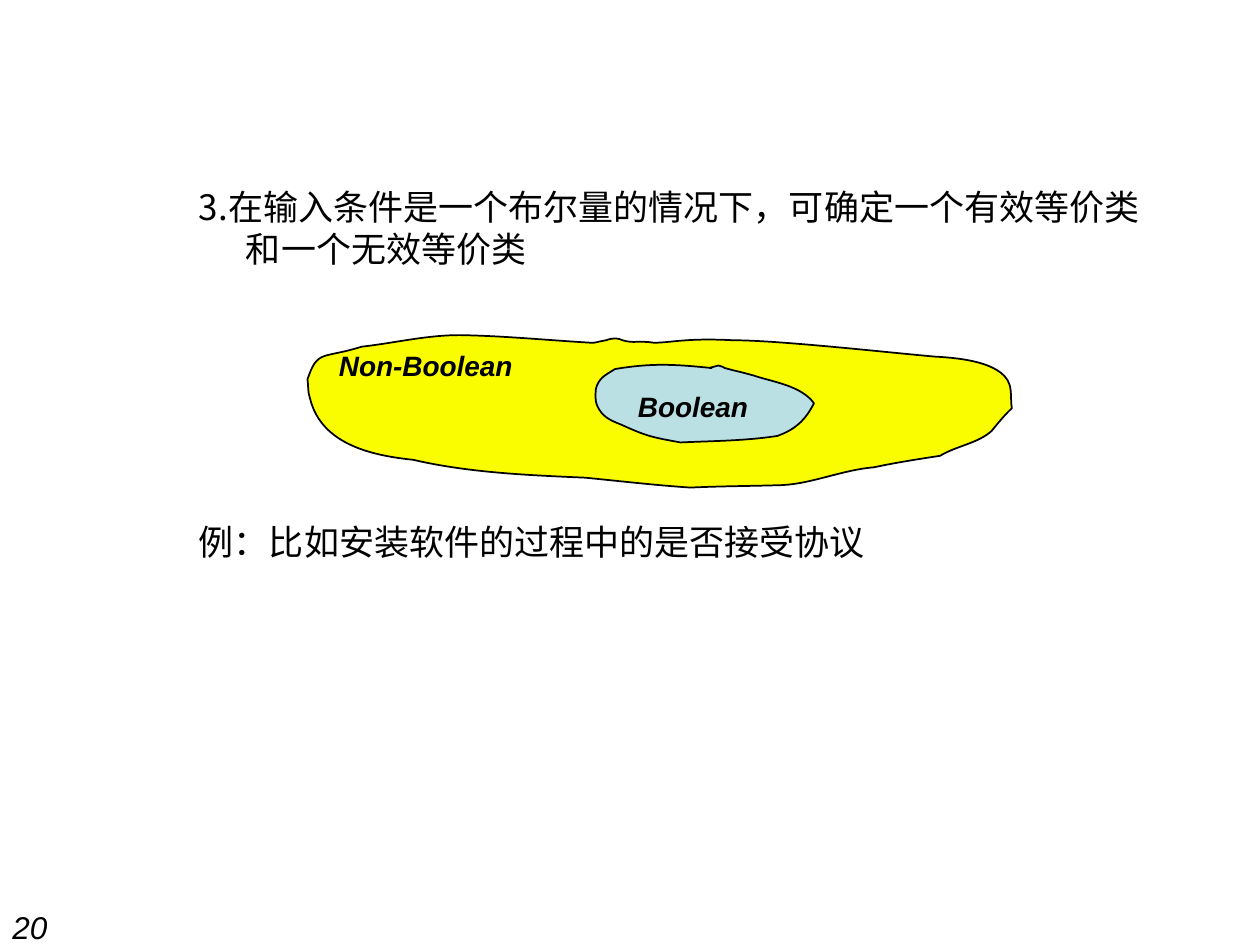
from lxml.etree import SubElement
from pptx import Presentation
from pptx.dml.color import RGBColor
from pptx.enum.text import MSO_AUTO_SIZE as AutoSize, PP_ALIGN as Align
from pptx.oxml.ns import qn
from pptx.util import Cm, Pt

BLACK = RGBColor(0x00, 0x00, 0x00)
YELLOW = RGBColor(0xFA, 0xFD, 0x00)
PALE_BLUE = RGBColor(0xBB, 0xE0, 0xE3)
LATIN = "Arial"
CHINESE = "Noto Sans CJK SC"

# Closed Bézier outlines in cm: a start point, then three points per curve
NON_BOOLEAN_OUTLINE = [
    (11.91, 6.91),
    (11.07, 6.86), (10.24, 6.78), (9.42, 6.76),
    (8.71, 6.73), (8.00, 6.91), (7.29, 6.99),
    (6.50, 7.24), (6.40, 7.04), (6.20, 7.65),
    (6.22, 7.77), (6.20, 7.90), (6.25, 8.03),
    (6.48, 8.99), (7.57, 9.19), (8.33, 9.27),
    (9.45, 9.53), (10.64, 9.58), (11.79, 9.63),
    (12.50, 9.70), (13.18, 9.78), (13.92, 9.83),
    (14.53, 9.80), (15.14, 9.80), (15.77, 9.78),
    (16.38, 9.75), (16.99, 9.47), (17.63, 9.42),
    (18.06, 9.32), (18.95, 9.19), (18.95, 9.19),
    (19.28, 8.99), (19.71, 8.94), (19.99, 8.69),
    (20.12, 8.53), (20.24, 8.38), (20.40, 8.23),
    (20.37, 8.08), (20.40, 7.90), (20.35, 7.75),
    (20.19, 7.26), (19.18, 7.21), (18.85, 7.19),
    (17.93, 7.11), (15.70, 6.86), (14.78, 6.86),
    (13.82, 6.81), (13.54, 6.91), (13.18, 6.91),
    (12.85, 6.86), (12.78, 6.93), (12.55, 6.86),
    (12.40, 6.78), (12.22, 6.86), (12.22, 6.86),
    (11.94, 6.91), (12.04, 6.91), (11.91, 6.91),
]
BOOLEAN_OUTLINE = [
    (14.35, 7.42),
    (13.56, 7.34), (13.13, 7.32), (12.40, 7.44),
    (12.19, 7.57), (12.07, 7.62), (12.01, 7.85),
    (12.01, 7.95), (11.99, 8.08), (12.04, 8.18),
    (12.14, 8.41), (12.32, 8.48), (12.52, 8.56),
    (13.03, 8.79), (13.11, 8.81), (13.72, 8.92),
    (14.35, 8.89), (15.01, 8.89), (15.67, 8.79),
    (16.03, 8.66), (16.23, 8.48), (16.41, 8.13),
    (16.15, 7.77), (15.57, 7.70), (15.19, 7.57),
    (14.71, 7.44), (15.06, 7.54), (14.61, 7.42),
    (14.58, 7.39), (14.48, 7.37), (14.48, 7.37),
    (14.30, 7.42), (14.25, 7.42), (14.35, 7.42),
]


class SlideBuilder:
    """Holds the text style and the slide being filled."""

    def __init__(self, slide, color=BLACK):
        self.slide = slide
        self.color = color

    def text(self, left, top, width, height, words, size, font=LATIN,
             bold=False, italic=False):
        box = self.slide.shapes.add_textbox(Cm(left), Cm(top), Cm(width), Cm(height))
        box.text_frame.word_wrap = True
        box.text_frame.text = words
        para = box.text_frame.paragraphs[0]
        span = para.runs[0]
        span.font.name = font
        span.font.size = Pt(size)
        span.font.bold = bold
        span.font.italic = italic
        span.font.color.rgb = self.color
        SubElement(span.font._element, qn("a:ea")).set("typeface", CHINESE)
        return box

    def statement(self, top, height, words, font):
        box = self.text(3.76, top, 19.74, height, words, 20, font)
        para = box.text_frame.paragraphs[0]
        para.line_spacing = Pt(24)
        hanging = Cm(0.95)
        properties = para._p.get_or_add_pPr()
        properties.set("marL", str(hanging))
        properties.set("indent", str(-hanging))

    def label(self, left, top, width, words):
        box = self.text(left, top, width, 0.94, words, 16, bold=True, italic=True)
        box.text_frame.word_wrap = False
        box.text_frame.auto_size = AutoSize.SHAPE_TO_FIT_TEXT
        box.text_frame.paragraphs[0].alignment = Align.CENTER

    def region(self, outline, fill):
        start, *points = outline
        builder = self.slide.shapes.build_freeform(*start, scale=Cm(1))
        builder.add_line_segments(points, close=True)
        shape = builder.convert_to_shape()
        shape.shadow.inherit = False
        shape.fill.solid()
        shape.fill.fore_color.rgb = fill
        shape.line.color.rgb = self.color
        shape.line.width = Pt(1)

        # Rebuild the local outline in EMU, with one cubic curve per three points
        outline_xml = next(shape._element.iter(qn("a:path")))
        outline_xml.set("w", str(shape.width))
        outline_xml.set("h", str(shape.height))
        for child in list(outline_xml):
            outline_xml.remove(child)
        groups = [points[i:i + 3] for i in range(0, len(points), 3)]
        steps = [("a:moveTo", [start])]
        steps += [("a:cubicBezTo", group) for group in groups]
        for tag, group in steps:
            step = SubElement(outline_xml, qn(tag))
            for x, y in group:
                point = SubElement(step, qn("a:pt"))
                point.set("x", str(Cm(x) - shape.left))
                point.set("y", str(Cm(y) - shape.top))
        SubElement(outline_xml, qn("a:close"))


def main():
    deck = Presentation()
    deck.slide_width, deck.slide_height = Cm(25.4), Cm(19.05)
    page = SlideBuilder(deck.slides.add_slide(deck.slide_layouts[6]))

    # Rule and example
    page.statement(3.62, 2, "3.在输入条件是一个布尔量的情况下，可确定一个有效等价类和一个无效等价类", CHINESE)
    page.statement(10.37, 1.2, "例：比如安装软件的过程中的是否接受协议", LATIN)

    # Page number
    page.text(0, 18.19, 25.4, 0.74, "20", 18, italic=True)

    # Equivalence classes
    page.region(NON_BOOLEAN_OUTLINE, YELLOW)
    page.region(BOOLEAN_OUTLINE, PALE_BLUE)
    page.label(12.6, 7.72, 2.74, "Boolean")
    page.label(6.58, 6.91, 4.01, "Non-Boolean")

    deck.save("out.pptx")


if __name__ == "__main__":
    main()
